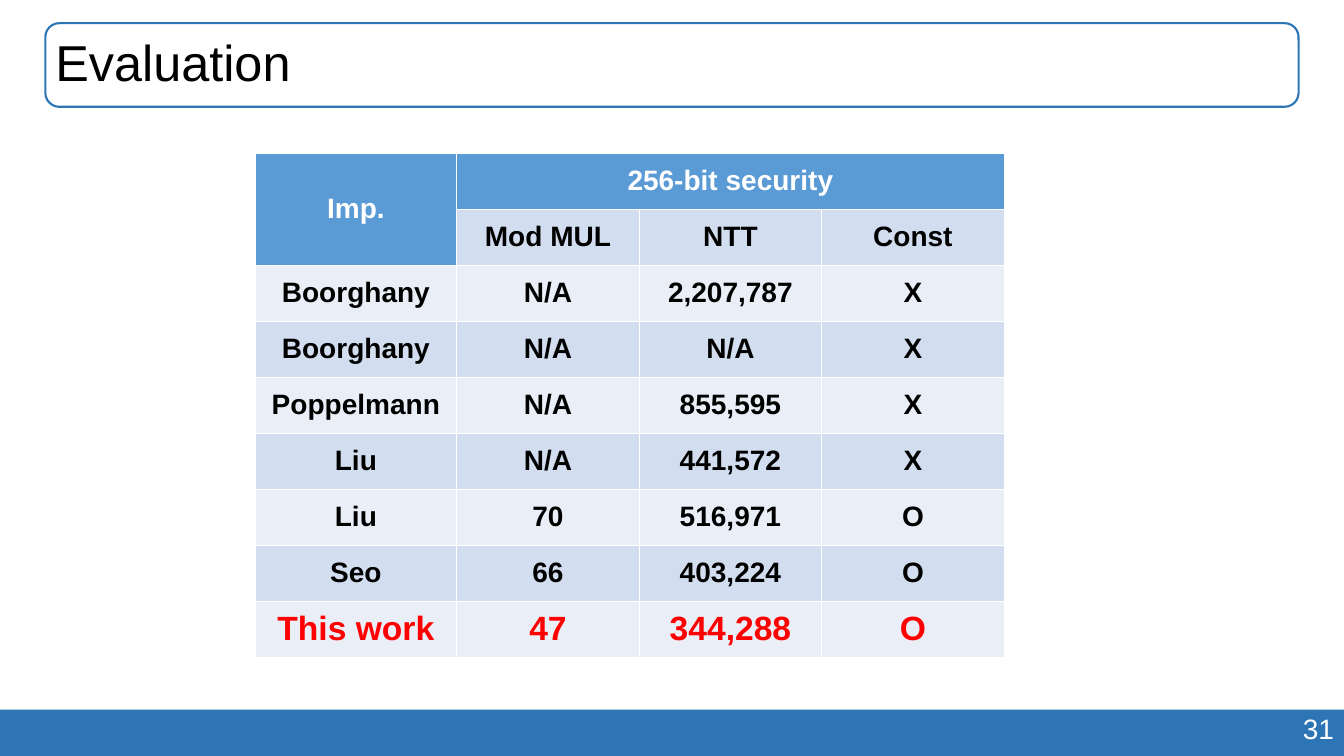
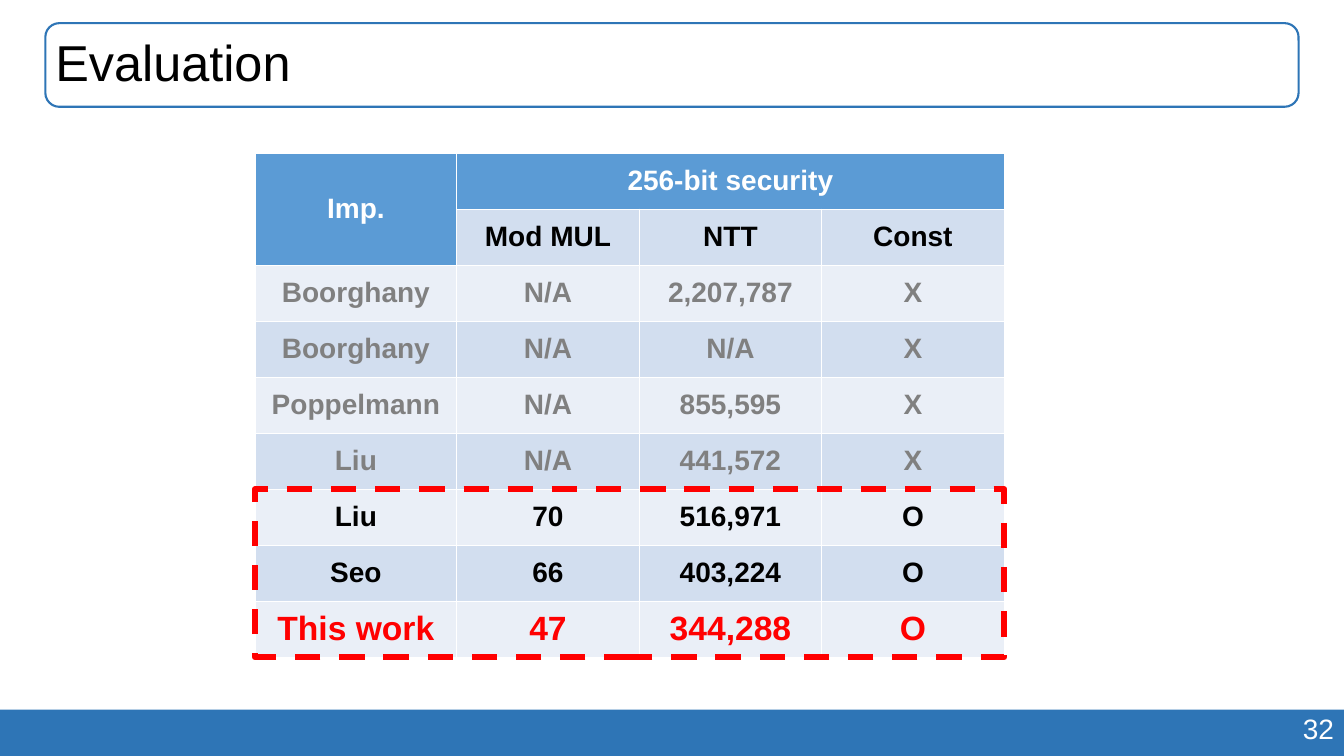
from dataclasses import dataclass

from lxml.etree import SubElement
from pptx import Presentation
from pptx.dml.color import RGBColor
from pptx.enum.dml import MSO_LINE
from pptx.enum.shapes import MSO_SHAPE
from pptx.enum.text import MSO_ANCHOR, PP_ALIGN
from pptx.oxml.ns import qn
from pptx.util import Inches, Pt


@dataclass(frozen=True)
class Theme:
    font: str = "Arial"
    band: str = "2E75B6"
    header: str = "5B9BD5"
    stripes: tuple = ("D2DEEF", "EAEFF7")
    white: str = "FFFFFF"
    text: str = "000000"
    muted: str = "808080"
    accent: str = "FF0000"
    title_size: int = 36
    body_size: int = 20
    accent_size: int = 24


THEME = Theme()
SLIDE_WIDTH, SLIDE_HEIGHT = 13.33, 7.5
TITLE_BOX = (0.45, 0.23, 12.43, 0.83)

# Evaluation table: two header rows, then one row per implementation
RESULTS = [
    ("Imp.", "256-bit security", "", ""),
    ("", "Mod MUL", "NTT", "Const"),
    ("Boorghany", "N/A", "2,207,787", "X"),
    ("Boorghany", "N/A", "N/A", "X"),
    ("Poppelmann", "N/A", "855,595", "X"),
    ("Liu", "N/A", "441,572", "X"),
    ("Liu", "70", "516,971", "O"),
    ("Seo", "66", "403,224", "O"),
    ("This work", "47", "344,288", "O"),
]
HEADER_ROWS = 2
FIRST_CONSTANT_TIME = next(i for i, row in enumerate(RESULTS) if row[3] == "O")
TABLE_LEFT, TABLE_TOP, TABLE_HEIGHT = 2.53, 1.52, 5
COLUMN_WIDTHS = (2, 1.81, 1.81, 1.81)
ROW_HEIGHT = TABLE_HEIGHT / len(RESULTS)


def rgb(color):
    return RGBColor.from_string(color)


class Deck:
    def __init__(self, theme):
        self.theme = theme
        self.presentation = Presentation()
        self.presentation.slide_width = Inches(SLIDE_WIDTH)
        self.presentation.slide_height = Inches(SLIDE_HEIGHT)
        self.slide = None

    def new_slide(self, title, number):
        blank = self.presentation.slide_layouts[6]
        self.slide = self.presentation.slides.add_slide(blank)
        # Footer band with the page number
        self.shape(MSO_SHAPE.RECTANGLE, (0, 7.04, SLIDE_WIDTH, 0.46), fill=self.theme.band)
        self.text((9.43, 7.01, 3.9, 0.44), str(number), self.theme.body_size,
                  self.theme.white, PP_ALIGN.RIGHT)
        # Title in its rounded frame
        self.shape(MSO_SHAPE.ROUNDED_RECTANGLE, TITLE_BOX, line=self.theme.band, width=1.5)
        heading = self.text(TITLE_BOX, title, self.theme.title_size, self.theme.text,
                            anchor=MSO_ANCHOR.MIDDLE)
        heading.line_spacing = 0.9

    def shape(self, kind, box, fill=None, line=None, width=1, dash=None):
        shape = self.slide.shapes.add_shape(kind, *map(Inches, box))
        shape.shadow.inherit = False
        if fill:
            shape.fill.solid()
            shape.fill.fore_color.rgb = rgb(fill)
        else:
            shape.fill.background()
        if line:
            shape.line.color.rgb = rgb(line)
            shape.line.width = Pt(width)
            shape.line.dash_style = dash
        else:
            shape.line.fill.background()

    def text(self, box, words, size, color, align=PP_ALIGN.LEFT, anchor=MSO_ANCHOR.TOP):
        frame = self.slide.shapes.add_textbox(*map(Inches, box)).text_frame
        frame.word_wrap = True
        frame.vertical_anchor = anchor
        return self.styled_text(frame, words, size, color, align)

    def styled_text(self, frame, words, size, color, align, bold=False):
        frame.text = words
        paragraph = frame.paragraphs[0]
        paragraph.alignment = align
        for run in paragraph.runs:
            font = run.font
            font.name, font.size, font.bold = self.theme.font, Pt(size), bold
            font.color.rgb = rgb(color)
        return paragraph

    def results_table(self, mute_variable_time):
        box = (TABLE_LEFT, TABLE_TOP, sum(COLUMN_WIDTHS), TABLE_HEIGHT)
        table = self.slide.shapes.add_table(
            len(RESULTS), len(COLUMN_WIDTHS), *map(Inches, box)).table
        for column, width in zip(table.columns, COLUMN_WIDTHS):
            column.width = Inches(width)
        for r, values in enumerate(RESULTS):
            table.rows[r].height = Inches(ROW_HEIGHT)
            for c, value in enumerate(values):
                is_header = r == 0 or (r < HEADER_ROWS and c == 0)
                fill = self.theme.header if is_header else self.theme.stripes[(r + 1) % 2]
                color, size = self.theme.text, self.theme.body_size
                if is_header:
                    color = self.theme.white
                elif r == len(RESULTS) - 1:
                    color, size = self.theme.accent, self.theme.accent_size
                elif mute_variable_time and HEADER_ROWS <= r < FIRST_CONSTANT_TIME:
                    color = self.theme.muted
                self.cell(table.cell(r, c), value, fill, color, size)
        # Spanning headers
        table.cell(0, 0).merge(table.cell(1, 0))
        table.cell(0, 1).merge(table.cell(0, 3))

    def cell(self, cell, value, fill, color, size):
        properties = cell._tc.get_or_add_tcPr()
        for side in ("a:lnL", "a:lnR", "a:lnT", "a:lnB"):
            border = SubElement(properties, qn(side), w=str(Pt(1)))
            SubElement(SubElement(border, qn("a:solidFill")), qn("a:srgbClr"),
                       val=self.theme.white)
        cell.fill.solid()
        cell.fill.fore_color.rgb = rgb(fill)
        cell.vertical_anchor = MSO_ANCHOR.MIDDLE
        self.styled_text(cell.text_frame, value, size, color, PP_ALIGN.CENTER, bold=True)

    def constant_time_outline(self):
        above = FIRST_CONSTANT_TIME * ROW_HEIGHT
        box = (TABLE_LEFT, TABLE_TOP + above, sum(COLUMN_WIDTHS), TABLE_HEIGHT - above)
        self.shape(MSO_SHAPE.RECTANGLE, box, line=self.theme.accent, width=4.5,
                   dash=MSO_LINE.DASH)


def main():
    deck = Deck(THEME)

    # All results
    deck.new_slide("Evaluation", 31)
    deck.results_table(mute_variable_time=False)

    # Focus on constant-time implementations
    deck.new_slide("Evaluation", 32)
    deck.results_table(mute_variable_time=True)
    deck.constant_time_outline()

    deck.presentation.save("out.pptx")


if __name__ == "__main__":
    main()
